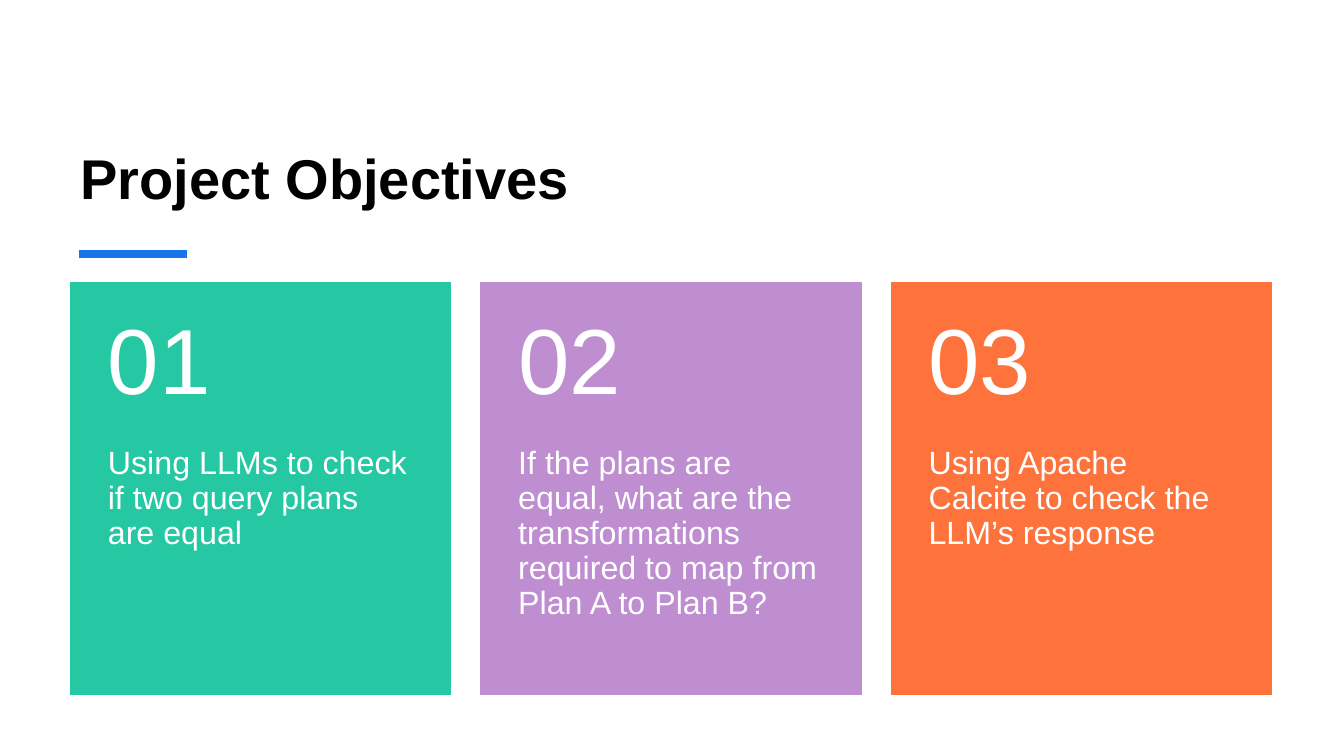
import pptx
import pptx.util
import pptx.dml.color
import pptx.enum.shapes
import pptx.enum.text
import lxml.etree
from pptx.util import Inches

RGBColor = pptx.dml.color.RGBColor
BLACK = RGBColor(0x00, 0x00, 0x00)
WHITE = RGBColor(0xFF, 0xFF, 0xFF)
BLUE = RGBColor(0x19, 0x73, 0xEB)
GREEN = RGBColor(0x25, 0xC8, 0xA2)
PURPLE = RGBColor(0xBF, 0x8E, 0xD1)
ORANGE = RGBColor(0xFE, 0x73, 0x3C)

TOP = pptx.enum.text.MSO_ANCHOR.TOP
MIDDLE = pptx.enum.text.MSO_ANCHOR.MIDDLE
BOTTOM = pptx.enum.text.MSO_ANCHOR.BOTTOM

OBJECTIVES = [
    (GREEN, "Using LLMs to check if two query plans are equal"),
    (PURPLE, "If the plans are equal, what are the transformations "
             "required to map from Plan A to Plan B?"),
    (ORANGE, "Using Apache Calcite to check the LLM’s response"),
]


def add_text(shapes, area, text, size, color, anchor, margins, spacing=1.0, bold=False):
    box = shapes.add_textbox(*map(Inches, area))
    frame = box.text_frame
    frame.word_wrap = True
    frame.vertical_anchor = anchor
    (frame.margin_left, frame.margin_top,
     frame.margin_right, frame.margin_bottom) = map(Inches, margins)
    para = frame.paragraphs[0]
    para.text = text
    para.line_spacing = spacing
    para.font.name = "Arial"
    para.font.size = pptx.util.Pt(size)
    para.font.bold = bold
    para.font.color.rgb = color


def add_heading(page, left, top, width, height):
    add_text(page.shapes, (left, top, width, height), "Project Objectives",
             40, BLACK, BOTTOM, (0.1, 0.05, 0.1, 0.05), bold=True)

    # Accent rule under the title
    rule_left, rule_top = left + 0.08, top + height + 0.38
    rule = page.shapes.add_connector(
        pptx.enum.shapes.MSO_CONNECTOR.STRAIGHT,
        Inches(rule_left), Inches(rule_top), Inches(rule_left + 1.07), Inches(rule_top))
    rule.line.color.rgb = BLUE
    rule.line.width = pptx.util.Pt(6)
    lxml.etree.SubElement(rule._element.spPr, pptx.oxml.ns.qn("a:effectLst"))


def add_card(shapes, left, top, width, height, number, color, text):
    card = shapes.add_shape(pptx.enum.shapes.MSO_SHAPE.RECTANGLE,
                            *map(Inches, (left, top, width, height)))
    card.shadow.inherit = False
    card.fill.solid()
    card.fill.fore_color.rgb = color
    card.line.color.rgb = color
    card.line.width = pptx.util.Pt(1)

    # Number above, objective below
    split = height * 0.4
    add_text(shapes, (left, top + split, width, height - split), text,
             23, WHITE, TOP, (0.37, 0, 0.37, 0.36), spacing=0.9)
    add_text(shapes, (left, top, width, split), f"{number:02d}",
             66, WHITE, MIDDLE, (0.37, 0.18, 0.37, 0.18), spacing=0.9)


def add_cards(page, left, top, width, height, gap=0.3):
    group = page.shapes.add_group_shape()
    count = len(OBJECTIVES)
    card_width = (width - gap * (count - 1)) / count
    for index, (color, text) in enumerate(OBJECTIVES):
        add_card(group.shapes, left + index * (card_width + gap), top,
                 card_width, height, index + 1, color, text)


def main():
    deck = pptx.Presentation()
    deck.slide_width = Inches(13.33)
    deck.slide_height = Inches(7.5)
    page = deck.slides.add_slide(deck.slide_layouts[6])
    add_heading(page, 0.7, 0.62, 11.91, 1.52)
    add_cards(page, 0.7, 2.8, 11.91, 4.09)
    deck.save("out.pptx")


if __name__ == "__main__":
    main()
